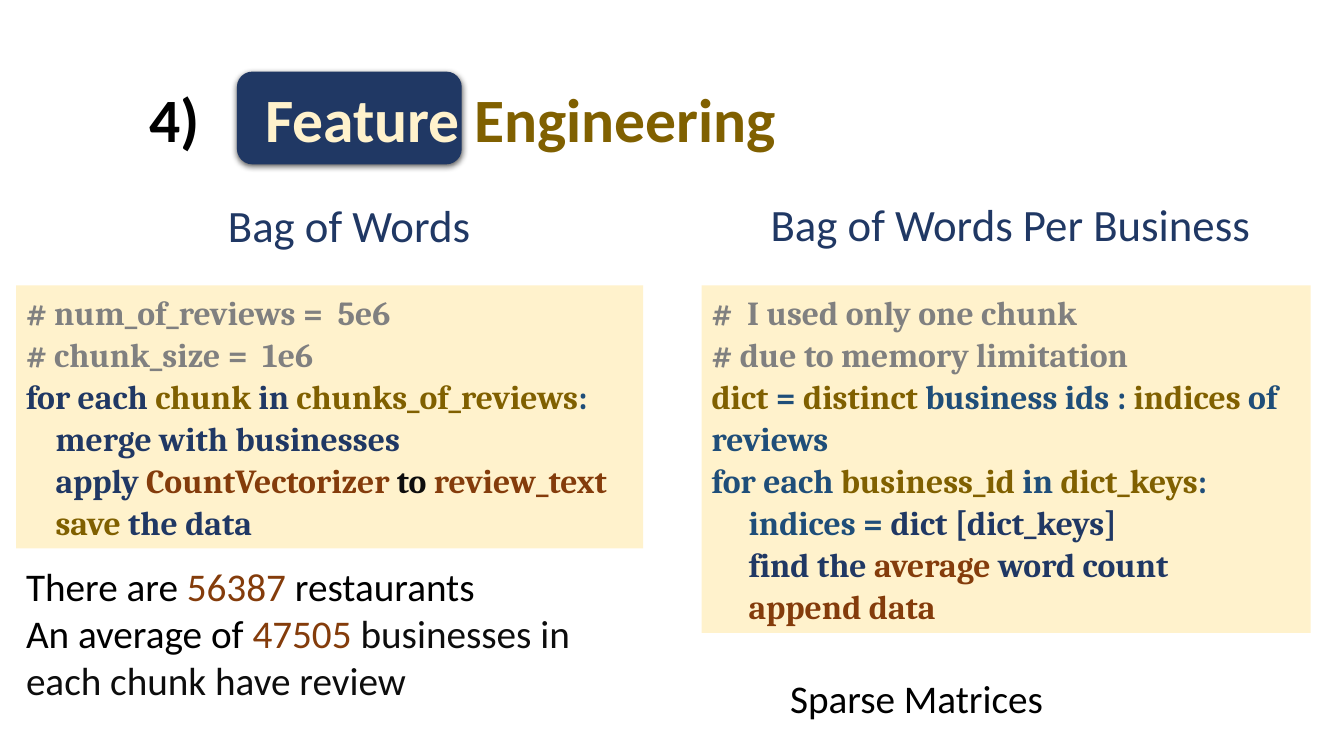
import dataclasses
import typing

import lxml.etree
import pptx
import pptx.dml.color
import pptx.enum.shapes
import pptx.enum.text
import pptx.oxml.ns
import pptx.util

Align = pptx.enum.text.PP_ALIGN
Anchor = pptx.enum.text.MSO_ANCHOR
Shape = pptx.enum.shapes.MSO_SHAPE
SLIDE_WIDTH = pptx.util.Inches(13.33)
SLIDE_HEIGHT = pptx.util.Inches(7.5)


@dataclasses.dataclass(frozen=True)
class Theme:
    navy: str = "203864"
    blue: str = "1F4E79"
    gold: str = "806000"
    rust: str = "843C0B"
    gray: str = "808080"
    black: str = "000000"
    ink: str = "0D0D0D"
    cream: str = "FFF2CC"
    body_font: str = "Calibri"
    code_font: str = "Cambria"
    title_size: int = 44
    heading_size: int = 32
    note_size: int = 28
    code_size: int = 24
    code_leading: int = 30


THEME = Theme()


class Frame(typing.NamedTuple):
    """Position and size as percentages of the slide."""
    left: float
    top: float
    width: float
    height: float

    def lengths(self) -> tuple[int, int, int, int]:
        return (
            round(SLIDE_WIDTH * self.left / 100),
            round(SLIDE_HEIGHT * self.top / 100),
            round(SLIDE_WIDTH * self.width / 100),
            round(SLIDE_HEIGHT * self.height / 100),
        )


class Span(typing.NamedTuple):
    text: str
    color: str


Line = tuple[Span, ...]


@dataclasses.dataclass(frozen=True)
class Style:
    font: str
    size: int
    bold: bool = False
    align: Align = Align.LEFT
    anchor: Anchor = Anchor.TOP
    spacing: float | pptx.util.Length = 1.0


@dataclasses.dataclass(frozen=True)
class Block:
    frame: Frame
    style: Style
    lines: tuple[Line, ...]
    fill: str | None = None


TITLE = Style(THEME.body_font, THEME.title_size, bold=True, anchor=Anchor.MIDDLE, spacing=0.9)
HEADING = Style(THEME.body_font, THEME.heading_size, align=Align.CENTER)
NOTE = Style(THEME.body_font, THEME.note_size)
CAPTION = dataclasses.replace(NOTE, align=Align.CENTER)
CODE = Style(THEME.code_font, THEME.code_size, bold=True,
             spacing=pptx.util.Pt(THEME.code_leading))


def navy(text: str) -> Span:
    return Span(text, THEME.navy)


def blue(text: str) -> Span:
    return Span(text, THEME.blue)


def gold(text: str) -> Span:
    return Span(text, THEME.gold)


def rust(text: str) -> Span:
    return Span(text, THEME.rust)


def gray(text: str) -> Span:
    return Span(text, THEME.gray)


def black(text: str) -> Span:
    return Span(text, THEME.black)


def ink(text: str) -> Span:
    return Span(text, THEME.ink)


BADGE = Frame(17.63, 9.47, 16.73, 12.27)
BLOCKS = (
    Block(Frame(10.35, 10.8, 7.28, 10.93), TITLE, ((black("4)"),),)),
    Block(Frame(18.98, 10.8, 44.34, 10.93), TITLE,
          ((Span("Feature ", THEME.cream), gold("Engineering")),)),
    Block(Frame(0.98, 25.47, 50, 8.53), HEADING, ((navy("Bag of Words"),),)),
    Block(Frame(50.19, 25.33, 50, 8.53), HEADING, ((navy("Bag of Words Per Business"),),)),
    Block(Frame(1.2, 37.73, 46.66, 34.8), CODE, (
        (gray("# num_of_reviews =  5e6"),),
        (gray("# chunk_size =  1e6"),),
        (navy("for each "), gold("chunk "), navy("in "), gold("chunks_of_reviews"), blue(":")),
        (navy("    merge with businesses"),),
        (navy("    apply "), rust("CountVectorizer "), ink("to "), rust("review_text")),
        (gold("    save "), navy("the data")),
    ), THEME.cream),
    Block(Frame(52.21, 37.73, 45.31, 46), CODE, (
        (gray("#  I used only one chunk"),),
        (gray("# due to memory limitation"),),
        (gold("dict"), blue(" = "), gold("distinct"), blue(" business ids : "),
         gold("indices"), blue(" of reviews")),
        (blue("for each "), gold("business_id"), blue(" in "), gold("dict_keys"), blue(":")),
        (blue("     indices = "), navy("dict [dict_keys]")),
        (navy("     find the "), rust("average"), navy(" word count")),
        (rust("     append data"),),
    ), THEME.cream),
    Block(Frame(1.2, 73.73, 46.81, 20.13), NOTE, (
        (black("There are "), rust("56387"), black(" restaurants")),
        (black("An average of "), rust("47505 "), ink("businesses in each chunk have review")),
    )),
    Block(Frame(56.86, 88.53, 22.66, 7.6), CAPTION, ((black("Sparse Matrices"),),)),
)


def rgb(color: str) -> pptx.dml.color.RGBColor:
    return pptx.dml.color.RGBColor.from_string(color)


def add_panel(page, kind: Shape, frame: Frame, fill: str):
    panel = page.shapes.add_shape(kind, *frame.lengths())
    panel.shadow.inherit = False
    panel.fill.solid()
    panel.fill.fore_color.rgb = rgb(fill)
    panel.line.fill.background()
    return panel


def add_drop_shadow(panel) -> None:
    tag = pptx.oxml.ns.qn
    effects = panel.element.spPr.find(tag("a:effectLst"))
    shadow = lxml.etree.SubElement(
        effects, tag("a:outerShdw"), blurRad=str(pptx.util.Pt(4.5)),
        dist=str(pptx.util.Pt(1.5)), dir="5400000", algn="ctr", rotWithShape="0")
    color = lxml.etree.SubElement(shadow, tag("a:srgbClr"), val=THEME.black)
    lxml.etree.SubElement(color, tag("a:alpha"), val="63000")


def write_line(para, line: Line, style: Style) -> None:
    para.alignment = style.align
    para.line_spacing = style.spacing
    para.font.name = style.font
    para.font.size = pptx.util.Pt(style.size)
    para.font.bold = style.bold
    para.font.color.rgb = rgb(line[0].color)
    for span in line:
        run = para.add_run()
        run.text = span.text
        if span.color != line[0].color:
            run.font.color.rgb = rgb(span.color)


def add_block(page, block: Block) -> None:
    if block.fill:
        box = add_panel(page, Shape.RECTANGLE, block.frame, block.fill)
    else:
        box = page.shapes.add_textbox(*block.frame.lengths())
    frame = box.text_frame
    frame.word_wrap = True
    frame.vertical_anchor = block.style.anchor
    for index, line in enumerate(block.lines):
        para = frame.add_paragraph() if index else frame.paragraphs[0]
        write_line(para, line, block.style)


def main() -> None:
    deck = pptx.Presentation()
    deck.slide_width, deck.slide_height = SLIDE_WIDTH, SLIDE_HEIGHT
    page = deck.slides.add_slide(deck.slide_layouts[6])
    add_drop_shadow(add_panel(page, Shape.FLOWCHART_ALTERNATE_PROCESS, BADGE, THEME.navy))
    for block in BLOCKS:
        add_block(page, block)
    deck.save("out.pptx")


if __name__ == "__main__":
    main()
